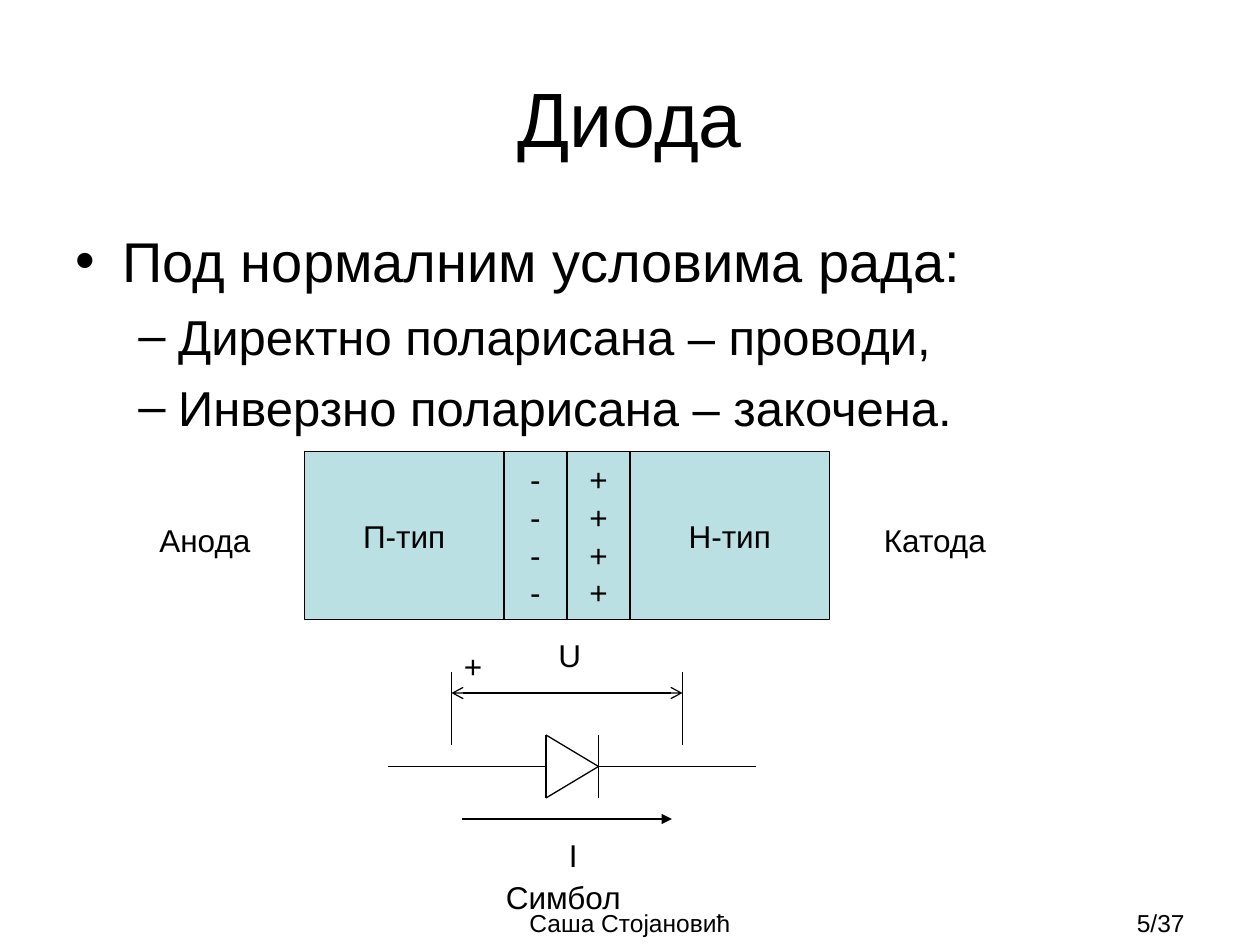
from lxml.etree import SubElement
from pptx import Presentation
from pptx.dml.color import RGBColor
from pptx.enum.shapes import MSO_CONNECTOR, MSO_SHAPE
from pptx.enum.text import MSO_ANCHOR, PP_ALIGN
from pptx.oxml.ns import qn
from pptx.util import Emu, Pt

EMU_PER_PX = 7620  # 120 px to the inch
BLACK = "000000"
PALE_TEAL = "BBE0E3"


def px(length):
    return Emu(length * EMU_PER_PX)


def color(hex_code):
    return RGBColor.from_string(hex_code)


class SlideBuilder:
    font_name = "Arial"
    line_width = Pt(0.75)

    def __init__(self, page):
        self.page = page

    def fill_text(self, frame, lines, size, align):
        for index, line in enumerate(lines):
            para = frame.paragraphs[0] if index == 0 else frame.add_paragraph()
            para.text = line
            para.alignment = align
            para.font.name = self.font_name
            para.font.size = Pt(size)
            para.font.color.rgb = color(BLACK)

    def text(self, left, top, width, height, content, size=18,
             align=PP_ALIGN.LEFT, anchor=MSO_ANCHOR.TOP):
        box = self.page.shapes.add_textbox(px(left), px(top), px(width), px(height))
        box.text_frame.word_wrap = True
        box.text_frame.vertical_anchor = anchor
        self.fill_text(box.text_frame, [content], size, align)

    def bullets(self, left, top, width, height, items):
        box = self.page.shapes.add_textbox(px(left), px(top), px(width), px(height))
        frame = box.text_frame
        frame.word_wrap = True
        self.fill_text(frame, [content for level, content in items], 32, PP_ALIGN.LEFT)
        # Mark, text margin, hanging indent and size of each level
        styles = [("•", 45, 45, 32), ("–", 98, 38, 28)]
        for index, (level, content) in enumerate(items):
            mark, margin, hanging, size = styles[level]
            para = frame.paragraphs[index]
            para.level = level
            para.font.size = Pt(size)
            para.space_before = Pt(7 if index else 0)
            properties = para._p.get_or_add_pPr()
            properties.set("marL", str(px(margin)))
            properties.set("indent", str(-px(hanging)))
            bullet_font = SubElement(properties, qn("a:buFont"))
            bullet_font.set("typeface", self.font_name)
            SubElement(properties, qn("a:buChar")).set("char", mark)
            # Bullet elements must precede the default run properties
            properties.append(properties.find(qn("a:defRPr")))

    def block(self, left, top, width, height, lines):
        shape = self.page.shapes.add_shape(
            MSO_SHAPE.RECTANGLE, px(left), px(top), px(width), px(height))
        shape.shadow.inherit = False
        shape.fill.solid()
        shape.fill.fore_color.rgb = color(PALE_TEAL)
        shape.line.color.rgb = color(BLACK)
        shape.line.width = self.line_width
        shape.text_frame.word_wrap = False
        shape.text_frame.vertical_anchor = MSO_ANCHOR.MIDDLE
        self.fill_text(shape.text_frame, lines, 18, PP_ALIGN.CENTER)

    def line(self, x1, y1, x2, y2, head=None, tail=None):
        connector = self.page.shapes.add_connector(
            MSO_CONNECTOR.STRAIGHT, px(x1), px(y1), px(x2), px(y2))
        connector.line.color.rgb = color(BLACK)
        connector.line.width = self.line_width
        properties = connector._element.spPr
        outline = properties.find(qn("a:ln"))
        for tag, kind in (("a:headEnd", head), ("a:tailEnd", tail)):
            if kind:
                SubElement(outline, qn(tag)).set("type", kind)
        SubElement(properties, qn("a:effectLst"))


def main():
    deck = Presentation()
    deck.slide_width, deck.slide_height = px(1200), px(900)
    slide = SlideBuilder(deck.slides.add_slide(deck.slide_layouts[6]))

    # Footer
    slide.text(410, 859, 380, 41, "Саша Стојановић", 14, PP_ALIGN.CENTER)
    slide.text(860, 859, 280, 41, "5/37", 14, PP_ALIGN.RIGHT)

    # Title and bullets
    slide.text(60, 36, 1080, 150, "Диода", 44, PP_ALIGN.CENTER, MSO_ANCHOR.MIDDLE)
    slide.bullets(60, 210, 1080, 220, [
        (0, "Под нормалним условима рада:"),
        (1, "Директно поларисана – проводи,"),
        (1, "Инверзно поларисана – закочена."),
    ])

    # P-N junction, blocks side by side
    left = 290
    for width, lines in ((190, ["П-тип"]), (60, ["-"] * 4),
                         (60, ["+"] * 4), (190, ["Н-тип"])):
        slide.block(left, 430, width, 160, lines)
        left += width

    # Labels
    for left, top, width, label in (
            (140, 490, 130, "Анода"), (830, 490, 140, "Катода"),
            (470, 830, 150, "Симбол"), (520, 600, 50, "U"),
            (430, 610, 40, "+"), (530, 790, 40, "I")):
        slide.text(left, top, width, 48, label)

    # Diode symbol: leads, triangle and cathode bar
    base, tip, axis, half = 520, 570, 730, 30
    slide.line(base - 150, axis, base, axis)
    slide.line(tip, axis, tip + 150, axis)
    for x in (base, tip):
        slide.line(x, axis - half, x, axis + half)
    for y in (axis - half, axis + half):
        slide.line(base, y, tip, axis)

    # Voltage dimension and current arrow
    for x in (430, 650):
        slide.line(x, 640, x, 710)
    slide.line(430, 660, 650, 660, head="arrow", tail="arrow")
    slide.line(440, 780, 640, 780, tail="triangle")

    deck.save("out.pptx")


if __name__ == "__main__":
    main()
